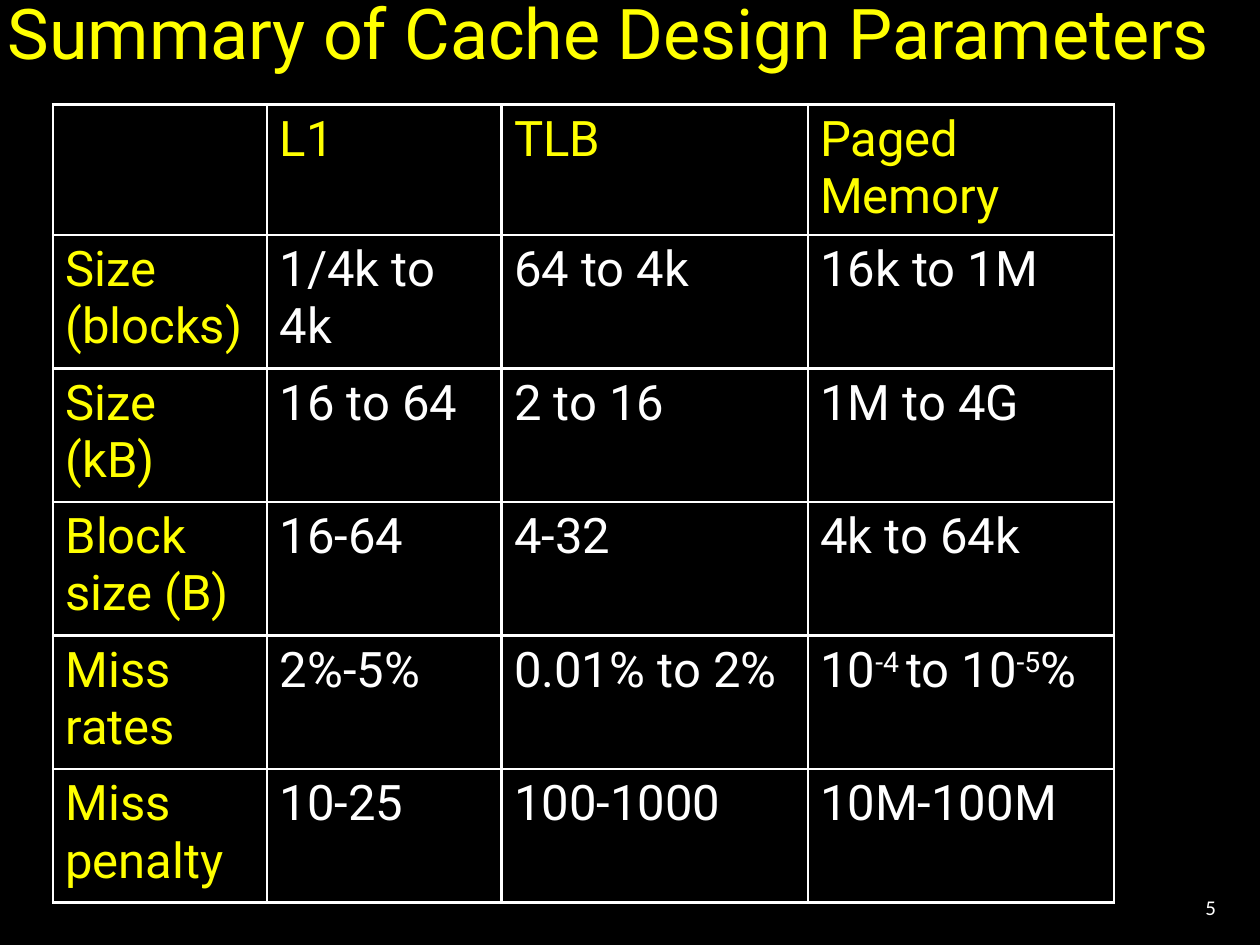
from dataclasses import dataclass

from lxml import etree
from pptx import Presentation
from pptx.dml.color import RGBColor
from pptx.enum.text import MSO_ANCHOR, PP_ALIGN
from pptx.oxml.ns import qn
from pptx.util import Inches, Pt

MIDDLE = MSO_ANCHOR.MIDDLE
CENTER, RIGHT = PP_ALIGN.CENTER, PP_ALIGN.RIGHT


@dataclass(frozen=True)
class Theme:
    background: str = "000000"
    heading: str = "FFFF00"
    body: str = "FFFFFF"
    border: str = "FFFFFF"
    font: str = "Roboto"
    number_font: str = "Calibri"
    title_size: float = 40
    table_size: float = 28
    number_size: float = 12
    border_width: float = 1.5


THEME = Theme()
COLUMN_WIDTHS = [1.7, 1.86, 2.43, 2.43]
ROW_HEIGHTS = [0.68] + [1.06] * 5
MISS_RATE = [("10", 0), ("-4 ", 30), ("to 10", 0), ("-5", 30), ("%", 0)]
PARAMETERS = [
    ["", "L1", "TLB", "Paged Memory"],
    ["Size (blocks)", "1/4k to 4k", "64 to 4k", "16k to 1M"],
    ["Size (kB)", "16 to 64", "2 to 16", "1M to 4G"],
    ["Block size (B)", "16-64", "4-32", "4k to 64k"],
    ["Miss rates", "2%-5%", "0.01% to 2%", MISS_RATE],
    ["Miss penalty", "10-25", "100-1000", "10M-100M"],
]


def add_run(p, text, size, font, color, baseline=0):
    r = p.add_run()
    r.text = text
    r.font.size = Pt(size)
    r.font.name = font
    r.font.color.rgb = RGBColor.from_string(color)
    if baseline:
        r.font._element.set("baseline", str(baseline * 1000))


def add_text(s, box, text, size, font, color, align):
    sp = s.shapes.add_textbox(*map(Inches, box))
    tf = sp.text_frame
    tf.word_wrap = True
    tf.vertical_anchor = MIDDLE
    p = tf.paragraphs[0]
    p.alignment = align
    add_run(p, text, size, font, color)


def set_borders(cell):
    tc_pr = cell._tc.get_or_add_tcPr()
    for i, side in enumerate(("lnL", "lnR", "lnT", "lnB")):
        ln = etree.Element(qn("a:" + side), w=str(Pt(THEME.border_width)))
        fill = etree.SubElement(ln, qn("a:solidFill"))
        etree.SubElement(fill, qn("a:srgbClr"), val=THEME.border)
        tc_pr.insert(i, ln)


def set_space_before(p, percent):
    space = etree.SubElement(p._p.get_or_add_pPr(), qn("a:spcBef"))
    etree.SubElement(space, qn("a:spcPct"), val=str(percent * 1000))


def fill_cell(cell, content, color):
    cell.fill.background()
    set_borders(cell)
    p = cell.text_frame.paragraphs[0]
    set_space_before(p, 20)
    runs = [(content, 0)] if isinstance(content, str) else content
    for text, baseline in runs:
        if text:
            add_run(p, text, THEME.table_size, THEME.font, color, baseline)


def add_parameter_table(s, box):
    frame = s.shapes.add_table(len(PARAMETERS), len(COLUMN_WIDTHS), *map(Inches, box))
    table = frame.table
    table.first_row = table.horz_banding = False
    for column, width in zip(table.columns, COLUMN_WIDTHS):
        column.width = Inches(width)
    for row, height in zip(table.rows, ROW_HEIGHTS):
        row.height = Inches(height)
    for i, contents in enumerate(PARAMETERS):
        for j, content in enumerate(contents):
            color = THEME.body if i and j else THEME.heading
            fill_cell(table.cell(i, j), content, color)
    frame.height = Inches(box[3])


def main():
    prs = Presentation()
    prs.slide_width, prs.slide_height = Inches(10), Inches(7.5)
    s = prs.slides.add_slide(prs.slide_layouts[6])
    s.background.fill.solid()
    s.background.fill.fore_color.rgb = RGBColor.from_string(THEME.background)
    add_text(s, (8.92, 7, 0.83, 0.4), "5",
             THEME.number_size, THEME.number_font, THEME.body, RIGHT)
    add_text(s, (-0.17, 0, 10, 0.5), "Summary of Cache Design Parameters",
             THEME.title_size, THEME.font, THEME.heading, CENTER)
    add_parameter_table(s, (0.42, 0.83, 8.42, 6.34))
    prs.save("out.pptx")


main()
